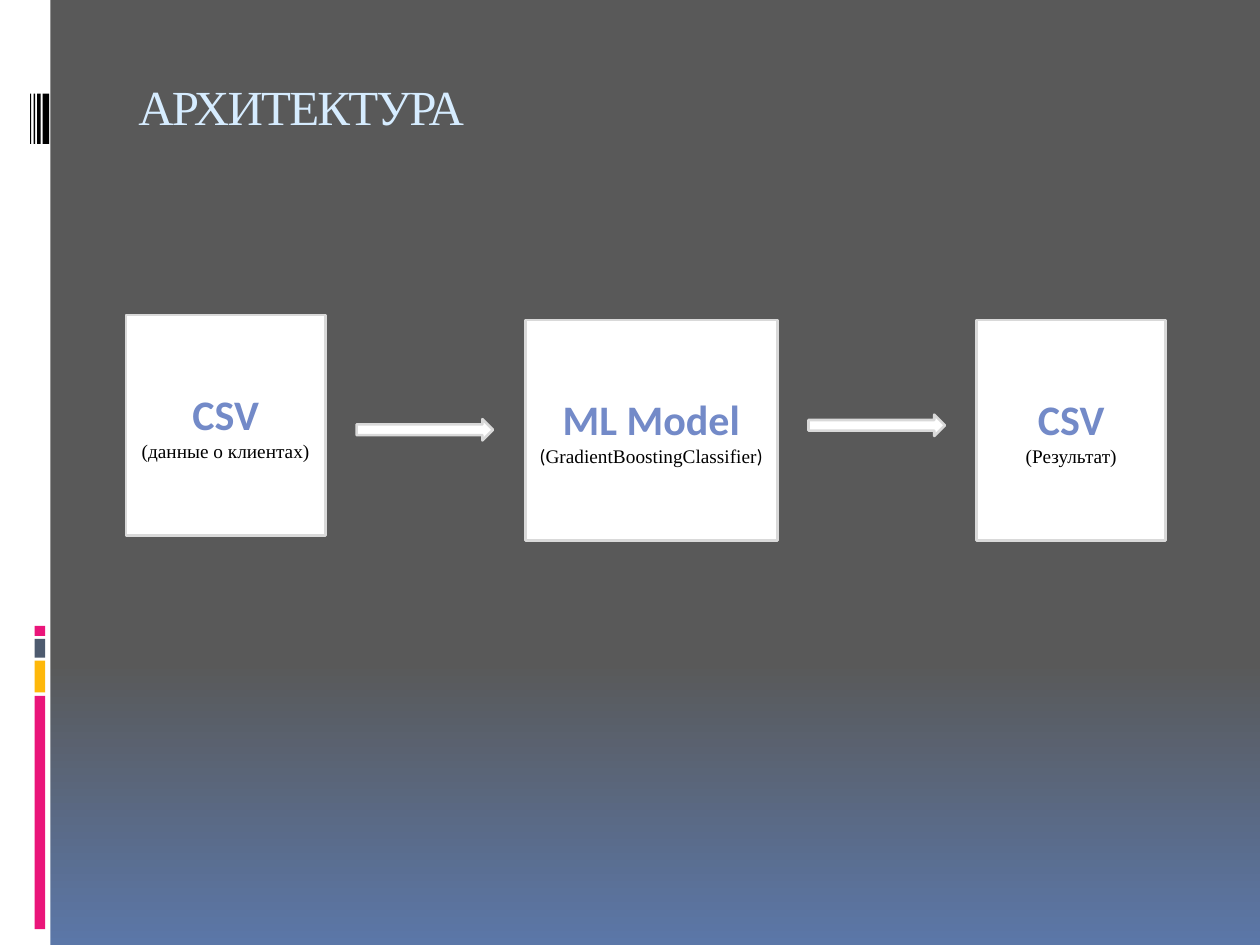
from pptx import Presentation
from pptx.dml.color import RGBColor
from pptx.enum.shapes import MSO_SHAPE
from pptx.enum.text import MSO_ANCHOR, PP_ALIGN
from pptx.util import Cm, Pt

RECTANGLE = MSO_SHAPE.RECTANGLE
PROCESS = MSO_SHAPE.FLOWCHART_PROCESS
RIGHT_ARROW = MSO_SHAPE.RIGHT_ARROW
TOP, MIDDLE = MSO_ANCHOR.TOP, MSO_ANCHOR.MIDDLE
CENTER = PP_ALIGN.CENTER

WHITE = RGBColor(0xFF, 0xFF, 0xFF)
BLACK = RGBColor(0x00, 0x00, 0x00)
GRAY = RGBColor(0x59, 0x59, 0x59)
BLUE = RGBColor(0x5B, 0x77, 0xA8)
PINK = RGBColor(0xEA, 0x15, 0x7A)
YELLOW = RGBColor(0xFE, 0xB8, 0x0A)
SLATE = RGBColor(0x4E, 0x5B, 0x6F)
PALE_BLUE = RGBColor(0xD6, 0xEC, 0xFF)
HEADING_BLUE = RGBColor(0x73, 0x8A, 0xC8)
BORDER = RGBColor(0xD9, 0xD9, 0xD9)

SANS, SERIF = "Calibri", "Times New Roman"


def add_filled_shape(page, kind, box, fill, border=None):
    """Add a flat preset shape with an optional border."""
    shape = page.shapes.add_shape(kind, *(Cm(length) for length in box))
    shape.shadow.inherit = False
    shape.fill.solid()
    shape.fill.fore_color.rgb = fill
    if border is None:
        shape.line.fill.background()
    else:
        shape.line.color.rgb = border
        shape.line.width = Pt(1.5)
    return shape


def add_span(para, text, font, size, color, bold=False):
    """Append one formatted run to a paragraph."""
    span = para.add_run()
    span.text = text
    span.font.name = font
    span.font.size = Pt(size)
    span.font.color.rgb = color
    span.font.bold = bold
    return span


def paint_background(page):
    """Fill the page with a gradient from gray down to blue."""
    fill = page.background.fill
    fill.gradient()
    fill.gradient_angle = 270
    for stop, position, color in zip(fill.gradient_stops, (0.7, 1), (GRAY, BLUE)):
        stop.position = position
        stop.color.rgb = color


def add_sidebar(page, left, top, width, height):
    """Draw the white side strip with its colored bars and black stripes."""
    add_filled_shape(page, RECTANGLE, (left, top, width, height), WHITE)
    bars = ((12.62, 0.2, PINK), (12.88, 0.38, SLATE), (13.32, 0.64, YELLOW), (14.03, 4.7, PINK))
    for offset, length, color in bars:
        add_filled_shape(page, RECTANGLE, (left + 0.7, top + offset, 0.21, length), color)
    for offset, thickness in ((0.61, 0.02), (0.68, 0.03), (0.75, 0.07), (0.86, 0.13)):
        add_filled_shape(page, RECTANGLE, (left + offset, top + 1.89, thickness, 1.01), BLACK)


def add_title(page, left, top, width, height, text):
    """Write the slide title."""
    frame = page.shapes.add_textbox(Cm(left), Cm(top), Cm(width), Cm(height)).text_frame
    frame.word_wrap = True
    frame.vertical_anchor = TOP
    span = add_span(frame.paragraphs[0], text, SERIF, 28, PALE_BLUE)
    span.font._element.set("spc", "-100")


def add_stage(page, left, top, width, height, heading, caption):
    """Draw one stage box with a heading and a caption of (text, font) pairs."""
    shape = add_filled_shape(page, PROCESS, (left, top, width, height), WHITE, BORDER)
    frame = shape.text_frame
    frame.word_wrap = True
    frame.vertical_anchor = MIDDLE
    para = frame.paragraphs[0]
    para.alignment = CENTER
    add_span(para, heading, SANS, 24, HEADING_BLUE, bold=True)
    para = frame.add_paragraph()
    para.alignment = CENTER
    for text, font in caption:
        add_span(para, text, font, 11, BLACK)


def add_pipeline(page, left, top):
    """Draw the three stages and the block arrows between them."""
    stages = (
        (0, 0, 4.02, "CSV", [("(данные о клиентах)", SERIF)]),
        (8.05, 0.1, 5.08, "ML Model",
         [("(", SANS), ("GradientBoostingClassifier", SERIF), (")", SANS)]),
        (17.15, 0.1, 3.81, "CSV", [("(Результат)", SERIF)]),
    )
    for offset, drop, width, heading, caption in stages:
        add_stage(page, left + offset, top + drop, width, 4.45, heading, caption)
    for offset, drop in ((4.65, 2.1), (13.76, 2.01)):
        box = (left + offset, top + drop, 2.75, 0.43)
        add_filled_shape(page, RIGHT_ARROW, box, WHITE, BORDER)


def main():
    """Build the deck and save it."""
    deck = Presentation()
    deck.slide_width, deck.slide_height = Cm(25.4), Cm(19.05)
    page = deck.slides.add_slide(deck.slide_layouts[6])
    paint_background(page)
    add_sidebar(page, 0, 0, 1.02, 19.05)
    add_title(page, 2.54, 1.42, 21.59, 2.54, "АРХИТЕКТУРА")
    add_pipeline(page, 2.54, 6.35)
    deck.save("out.pptx")


if __name__ == "__main__":
    main()
